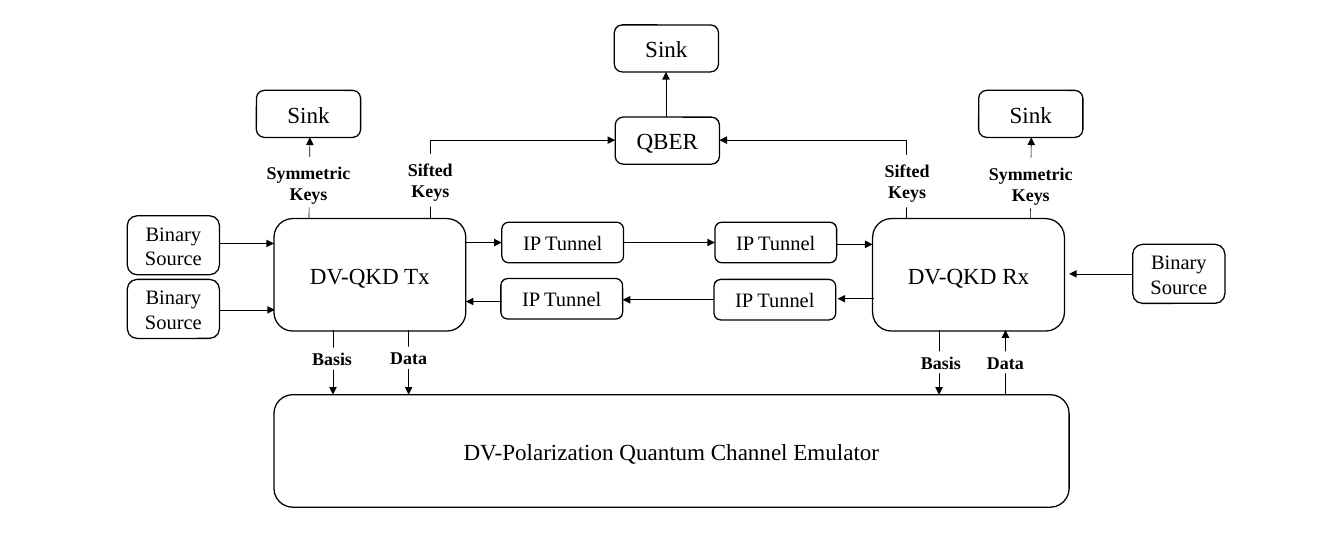
"""Draw the block diagram of a DV-QKD link over an emulated quantum channel."""
from dataclasses import dataclass

from lxml import etree
from pptx import Presentation
from pptx.dml.color import RGBColor
from pptx.enum.shapes import MSO_CONNECTOR, MSO_SHAPE
from pptx.enum.text import MSO_ANCHOR, MSO_AUTO_SIZE, PP_ALIGN
from pptx.oxml.ns import qn
from pptx.slide import Slide
from pptx.text.text import TextFrame
from pptx.util import Inches, Pt

ROUNDED = MSO_SHAPE.ROUNDED_RECTANGLE
STRAIGHT = MSO_CONNECTOR.STRAIGHT
ELBOW = MSO_CONNECTOR.ELBOW
MIDDLE = MSO_ANCHOR.MIDDLE
TOP = MSO_ANCHOR.TOP
CENTER = PP_ALIGN.CENTER
GROW = MSO_AUTO_SIZE.SHAPE_TO_FIT_TEXT


@dataclass(frozen=True)
class Theme:
    font: str = "Times New Roman"
    ink: RGBColor = RGBColor(0, 0, 0)
    paper: RGBColor = RGBColor(255, 255, 255)
    block_size: int = 18
    small_size: int = 16
    label_size: int = 14
    outline: float = 1
    thin: float = 0.5


THEME = Theme()


@dataclass(frozen=True)
class Block:
    text: str
    left: float
    top: float
    width: float
    height: float
    size: int = THEME.block_size


@dataclass(frozen=True)
class Arrow:
    start: tuple[float, float]
    end: tuple[float, float]
    weight: float = THEME.thin
    bend: float | None = None


@dataclass(frozen=True)
class Label:
    text: str
    left: float
    top: float
    width: float
    height: float
    wrapped: bool = True


def source(left: float, top: float) -> Block:
    return Block("Binary Source", left, top, 1, 0.64, THEME.small_size)


def tunnel(left: float, top: float) -> Block:
    return Block("IP Tunnel", left, top, 1.32, 0.44, THEME.small_size)


def station(text: str, left: float) -> Block:
    return Block(text, left, 2.37, 2.08, 1.22)


def terminal(text: str, left: float, top: float) -> Block:
    return Block(text, left, top, 1.13, 0.51)


def across(start: float, end: float, y: float, weight: float = THEME.thin) -> Arrow:
    return Arrow((start, y), (end, y), weight)


def upright(x: float, start: float, end: float) -> Arrow:
    return Arrow((x, start), (x, end))


def tag(text: str, left: float, top: float) -> Label:
    return Label(text, left, top, 0.46, 0.24, wrapped=False)


BLOCKS = [
    Block("DV-Polarization Quantum Channel Emulator", 2.97, 4.28, 8.62, 1.22),
    station("DV-QKD Tx", 2.97),
    station("DV-QKD Rx", 9.46),
    source(1.38, 2.34),
    source(1.38, 3.03),
    source(12.28, 2.65),
    tunnel(5.44, 2.41),
    tunnel(7.75, 2.41),
    tunnel(5.43, 3.02),
    tunnel(7.74, 3.03),
    terminal("QBER", 6.67, 1.27),
    terminal("Sink", 6.66, 0.27),
    terminal("Sink", 2.78, 0.98),
    terminal("Sink", 10.61, 0.98),
]

ARROWS = [
    across(2.38, 2.97, 2.64),
    across(2.39, 2.98, 3.36),
    across(12.28, 11.59, 2.97),
    across(5.05, 5.44, 2.63, THEME.outline),
    across(6.76, 7.75, 2.63, THEME.outline),
    across(9.07, 9.46, 2.65, THEME.outline),
    across(9.47, 9.08, 3.24, THEME.outline),
    across(7.74, 6.75, 3.25, THEME.outline),
    across(5.44, 5.05, 3.27, THEME.outline),
    *(upright(x, 3.58, 4.28) for x in (3.61, 4.43, 10.18)),
    upright(10.9, 4.28, 3.58),
    upright(7.22, 1.27, 0.78),
    Arrow((3.35, 2.37), (3.36, 1.49)),
    Arrow((11.17, 2.37), (11.18, 1.49)),
    Arrow((4.71, 2.37), (6.67, 1.52), bend=-0.025),
    Arrow((9.76, 2.37), (7.8, 1.52), bend=-0.036),
]

LABELS = [
    tag("Basis", 3.37, 3.77),
    tag("Data", 4.2, 3.76),
    tag("Basis", 9.97, 3.81),
    tag("Data", 10.67, 3.81),
    Label("Sifted Keys", 4.29, 1.67, 0.75, 0.57),
    Label("Sifted Keys", 9.46, 1.68, 0.75, 0.57),
    Label("Symmetric Keys", 2.78, 1.7, 1.13, 0.55),
    Label("Symmetric Keys", 10.61, 1.71, 1.13, 0.55),
]


def write(frame: TextFrame, text: str, size: int, bold: bool = False) -> None:
    paragraph = frame.paragraphs[0]
    paragraph.alignment = CENTER
    run = paragraph.add_run()
    run.text = text
    run.font.name = THEME.font
    run.font.size = Pt(size)
    run.font.bold = bold
    run.font.color.rgb = THEME.ink


def draw_block(slide: Slide, block: Block) -> None:
    box = (block.left, block.top, block.width, block.height)
    shape = slide.shapes.add_shape(ROUNDED, *map(Inches, box))
    shape.shadow.inherit = False
    shape.fill.solid()
    shape.fill.fore_color.rgb = THEME.paper
    shape.line.color.rgb = THEME.ink
    shape.line.width = Pt(THEME.outline)
    shape.text_frame.word_wrap = True
    shape.text_frame.vertical_anchor = MIDDLE
    write(shape.text_frame, block.text, block.size)


def draw_arrow(slide: Slide, arrow: Arrow) -> None:
    kind = STRAIGHT if arrow.bend is None else ELBOW
    connector = slide.shapes.add_connector(kind, *map(Inches, arrow.start + arrow.end))
    connector.line.color.rgb = THEME.ink
    connector.line.width = Pt(arrow.weight)
    properties = connector.element.spPr
    etree.SubElement(properties.find(qn("a:ln")), qn("a:tailEnd"), type="triangle")
    etree.SubElement(properties, qn("a:effectLst"))
    if arrow.bend is not None:
        adjustments = properties.find(qn("a:prstGeom")).find(qn("a:avLst"))
        formula = f"val {round(arrow.bend * 100000)}"
        etree.SubElement(adjustments, qn("a:gd"), name="adj1", fmla=formula)


def draw_label(slide: Slide, label: Label) -> None:
    box = (label.left, label.top, label.width, label.height)
    shape = slide.shapes.add_textbox(*map(Inches, box))
    shape.fill.solid()
    shape.fill.fore_color.rgb = THEME.paper
    frame = shape.text_frame
    frame.word_wrap = label.wrapped
    frame.auto_size = GROW
    frame.vertical_anchor = TOP
    if not label.wrapped:
        frame.margin_left = frame.margin_right = Inches(0)
        frame.margin_top = frame.margin_bottom = Inches(0)
    write(frame, label.text, THEME.label_size, bold=True)


def main() -> None:
    presentation = Presentation()
    presentation.slide_width = Inches(14.57)
    presentation.slide_height = Inches(5.91)
    slide = presentation.slides.add_slide(presentation.slide_layouts[6])
    for block in BLOCKS:
        draw_block(slide, block)
    for arrow in ARROWS:
        draw_arrow(slide, arrow)
    for label in LABELS:
        draw_label(slide, label)
    presentation.save("out.pptx")


if __name__ == "__main__":
    main()
